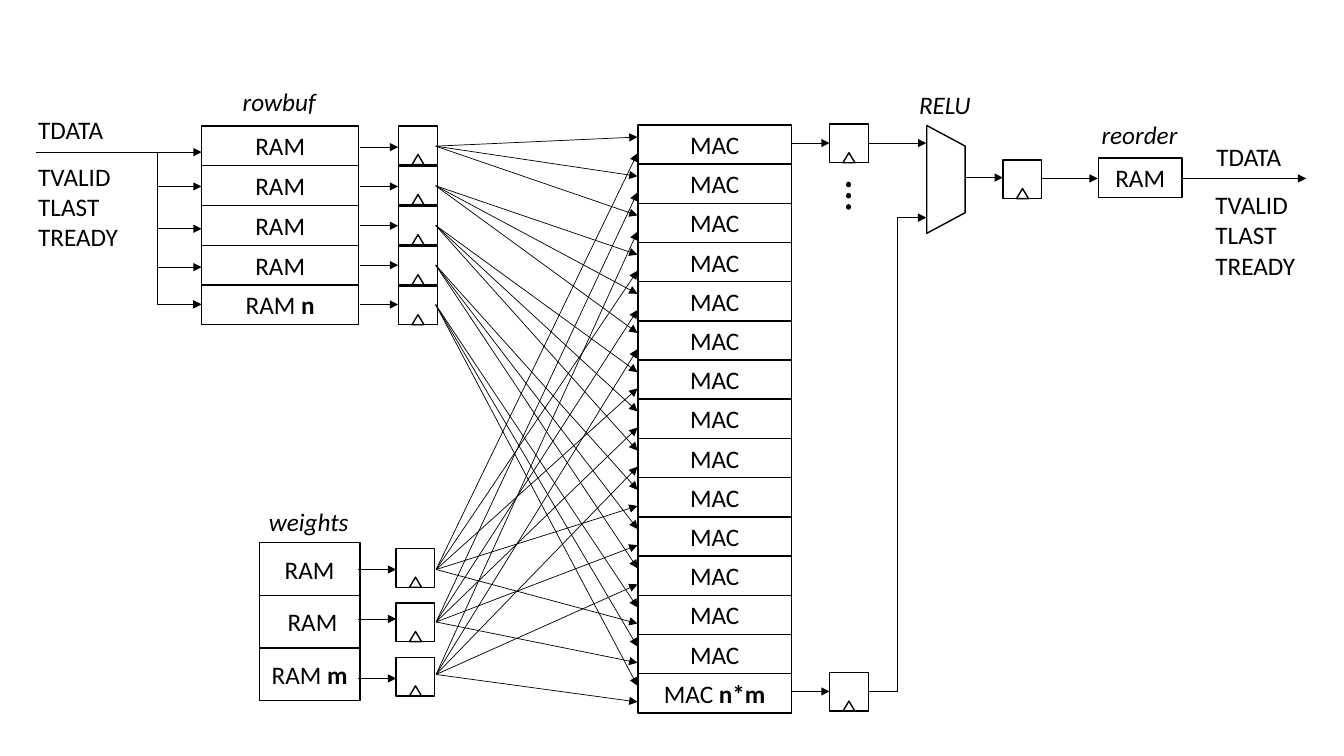
from lxml import etree
from pptx import Presentation
from pptx import util as u
from pptx.dml.color import RGBColor
from pptx.enum import dml, shapes, text
from pptx.oxml import ns

COLORS = {"ink": "000000"}
RECT = shapes.MSO_SHAPE.RECTANGLE
TRIANGLE = shapes.MSO_SHAPE.ISOSCELES_TRIANGLE
TRAPEZOID = shapes.MSO_SHAPE.TRAPEZOID
STRAIGHT = shapes.MSO_CONNECTOR.STRAIGHT
ELBOW = shapes.MSO_CONNECTOR.ELBOW
MAC_X, MAC_Y, MAC_W, MAC_H = 455.8, 89.2, 109.4, 28
ROWS, WEIGHTS = 5, 3


def write(tf, content, bold="", italic=False, align=text.PP_ALIGN.LEFT):
    tf.word_wrap = False
    for i, row in enumerate(content.split("\n")):
        p = tf.paragraphs[0] if i == 0 else tf.add_paragraph()
        p.alignment = align
        for part, heavy in ((row, False), (bold, True)):
            if part:
                r = p.add_run()
                r.text = part
                r.font.name = "Calibri"
                r.font.size = u.Pt(18)
                r.font.bold = heavy
                r.font.italic = italic
                r.font.color.rgb = RGBColor.from_string(COLORS["ink"])


class Diagram:
    """Draws the blocks, registers and wires of a circuit on one slide."""

    def __init__(self, s):
        self.s = s
        self.ink = RGBColor.from_string(COLORS["ink"])

    def shape(self, x, y, w, h, kind=RECT, parent=None):
        sp = (parent or self.s).shapes.add_shape(kind, u.Pt(x), u.Pt(y), u.Pt(w), u.Pt(h))
        sp.shadow.inherit = False
        sp.fill.background()
        sp.line.color.rgb = self.ink
        sp.line.width = u.Pt(1)
        return sp

    def block(self, x, y, w, h, content, bold=""):
        tf = self.shape(x, y, w, h).text_frame
        tf.vertical_anchor = text.MSO_ANCHOR.MIDDLE
        write(tf, content, bold=bold, align=text.PP_ALIGN.CENTER)

    def register(self, x, y):
        grp = self.s.shapes.add_group_shape()
        self.shape(x, y, 27.6, 27.6, parent=grp)
        self.shape(x + 9.5, y + 20.4, 8.6, 7.2, TRIANGLE, grp)

    def label(self, x, y, w, h, content, italic=False):
        tf = self.s.shapes.add_textbox(u.Pt(x), u.Pt(y), u.Pt(w), u.Pt(h)).text_frame
        tf.auto_size = text.MSO_AUTO_SIZE.SHAPE_TO_FIT_TEXT
        write(tf, content, italic=italic)

    def line(self, x1, y1, x2, y2, kind=STRAIGHT, width=0.5):
        cx = self.s.shapes.add_connector(kind, u.Pt(x1), u.Pt(y1), u.Pt(x2), u.Pt(y2))
        cx.line.color.rgb = self.ink
        cx.line.width = u.Pt(width)
        etree.SubElement(cx._element.spPr, ns.qn("a:effectLst"))
        return cx

    def arrow(self, x1, y1, x2, y2, kind=STRAIGHT):
        cx = self.line(x1, y1, x2, y2, kind)
        etree.SubElement(cx.line._get_or_add_ln(), ns.qn("a:tailEnd"), type="triangle")
        return cx

    def corner_arrow(self, x1, y1, x2, y2):
        mx, my = (x1 + x2) / 2, (y1 + y2) / 2
        dx, dy = (x2 - x1) / 2, (y2 - y1) / 2
        spPr = self.arrow(mx + dy, my - dx, mx - dy, my + dx, ELBOW)._element.spPr
        spPr.find(ns.qn("a:xfrm")).set("rot", str(270 * 60000))
        spPr.find(ns.qn("a:prstGeom")).set("prst", "bentConnector2")

    def dots(self, x, y1, y2):
        cx = self.line(x, y1, x, y2, width=4)
        cx.line.dash_style = dml.MSO_LINE.ROUND_DOT
        cx.line._get_or_add_ln().set("cap", "rnd")


def draw_macs(d):
    count = ROWS * WEIGHTS
    for i in range(count):
        last = i == count - 1
        d.block(MAC_X, MAC_Y + MAC_H * i, MAC_W, MAC_H,
                "MAC " if last else "MAC", bold="n*m" if last else "")
    for i in range(count):
        row, weight = divmod(i, WEIGHTS)
        d.arrow(311.2, 104.4 + 28.3 * row, 455.4, 97.9 + MAC_H * i)
        d.arrow(311.5, 406.8 + 37.5 * weight, 455.4, 109.4 + MAC_H * i)


def draw_rowbuf(d):
    d.label(166.3, 58.3, 67, 29, "rowbuf", italic=True)
    d.label(20.2, 77.8, 61, 29, "TDATA")
    d.label(20.2, 111.6, 72, 73, "TVALID\nTLAST\nTREADY")
    d.arrow(25.9, 108.7, 144, 108.7)
    for y in (133.2, 163.4, 190.8):
        d.arrow(112.3, y, 144, y)
    d.corner_arrow(112.3, 108.7, 144, 217.4)
    for i in range(ROWS):
        last = i == ROWS - 1
        d.block(144, 90 + 28.4 * i, 112.3, 28.4,
                "RAM " if last else "RAM", bold="n" if last else "")
        d.register(284.8, 90 + 28.6 * i)
        y = 105.1 + 28.1 * i
        d.arrow(257, y, 284.4, y)


def draw_weights(d):
    d.label(185, 357.8, 72, 29, "weights", italic=True)
    rams = (("RAM", "", 406.8), (" RAM", "", 442.1), ("RAM ", "m", 484.6))
    for i, (name, bold, y) in enumerate(rams):
        d.block(185.2, 387.6 + 37.6 * i, 72, 37.6, name, bold=bold)
        d.register(283, 391.9 + 38.8 * i)
        d.arrow(255.6, y, 283, y)


def draw_output(d):
    for y in (102.2, 493.9):
        d.register(592.6, y - 13.5)
        d.arrow(565.2, y, 592.6, y)
    d.arrow(620.2, 102.2, 661.7, 102.2)
    d.arrow(620.2, 493.9, 661.7, 155.5, ELBOW)
    d.dots(606.2, 131.8, 153.4)
    d.label(649.4, 60.5, 52, 29, "RELU", italic=True)
    mux = d.shape(637.2, 114.5, 77, 27.4, TRAPEZOID)
    mux.rotation = 90
    mux.adjustments[0] = 0.536
    d.arrow(689, 126.9, 716.4, 126.9)
    d.register(716.6, 114.3)
    d.arrow(744.5, 127.5, 784.1, 127.5)
    d.label(779.8, 81.4, 69, 29, "reorder", italic=True)
    d.block(784.6, 113, 59.6, 28.1, "RAM")
    d.arrow(843.8, 127.5, 933.1, 127.5)
    d.label(861.8, 97.2, 61, 29, "TDATA")
    d.label(861.1, 131.8, 72, 73, "TVALID\nTLAST\nTREADY")


def main():
    prs = Presentation()
    prs.slide_width, prs.slide_height = u.Pt(960), u.Pt(540)
    d = Diagram(prs.slides.add_slide(prs.slide_layouts[6]))
    draw_macs(d)
    draw_rowbuf(d)
    draw_weights(d)
    draw_output(d)
    prs.save("out.pptx")


if __name__ == "__main__":
    main()
